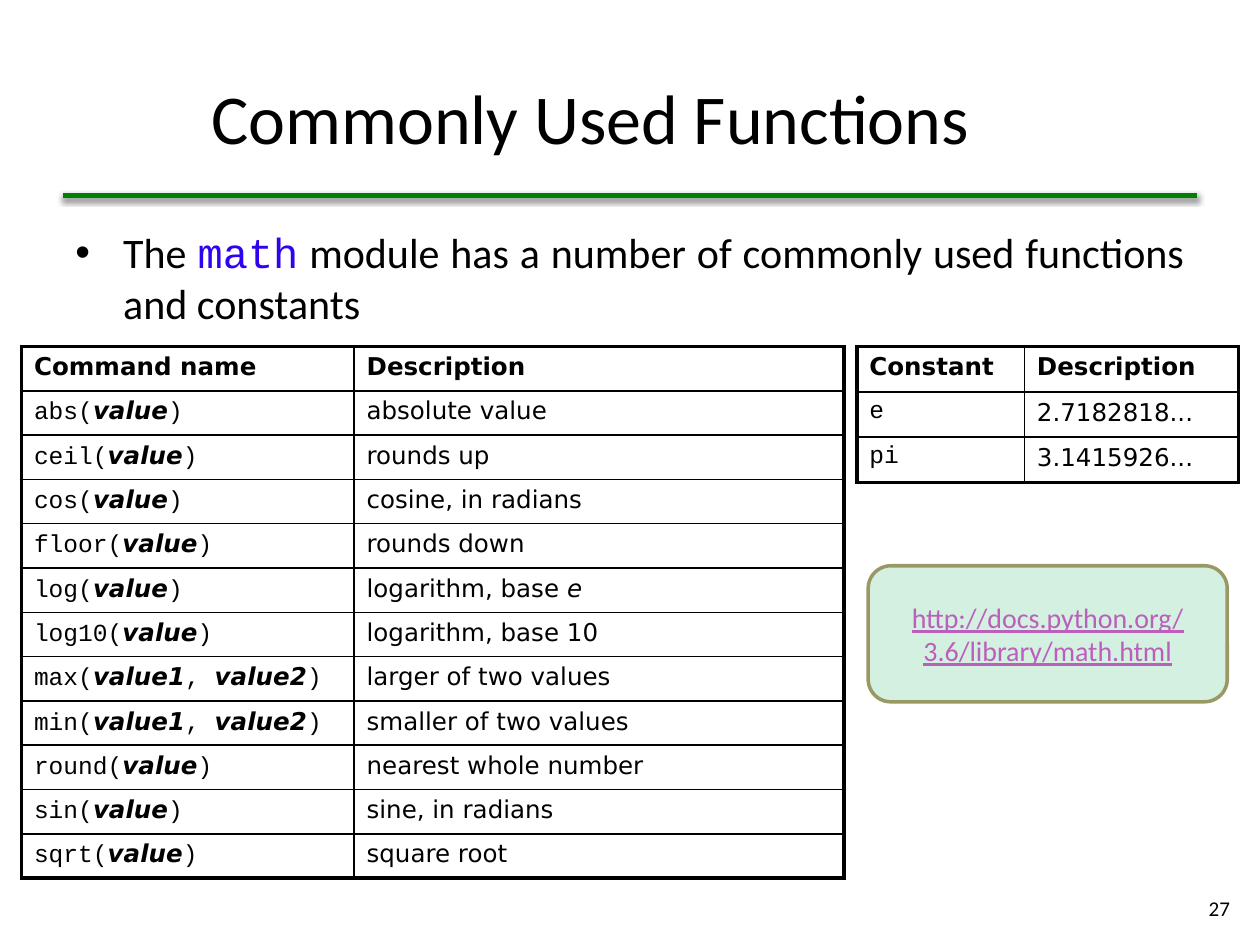
from dataclasses import dataclass

from lxml.etree import SubElement
from pptx import Presentation
from pptx.dml.color import RGBColor
from pptx.enum.shapes import MSO_CONNECTOR, MSO_SHAPE
from pptx.enum.text import MSO_ANCHOR, PP_ALIGN
from pptx.oxml import parse_xml
from pptx.oxml.ns import nsdecls, qn
from pptx.util import Inches, Pt


@dataclass(frozen=True)
class Theme:
    black: str = "000000"
    code: str = "2F02F0"
    rule: str = "008000"
    panel: str = "D4F0E1"
    panel_line: str = "999966"
    link: str = "BC5FBC"
    body_font: str = "Calibri"
    code_font: str = "Courier New"
    table_font: str = "DejaVu Sans"
    title_size: float = 40
    body_size: float = 24
    link_size: float = 16
    table_size: float = 14
    number_size: float = 12
    outer_border: float = 2.25
    inner_border: float = 1


@dataclass(frozen=True)
class Run:
    text: str
    font: str
    size: float
    color: str = Theme.black
    bold: bool = False
    italic: bool = False
    underline: bool = False


def table_run(text, font=Theme.table_font, **style):
    return Run(text, font, Theme.table_size, **style)


def code(text):
    return table_run(text, Theme.code_font)


def signature(name, *arguments):
    """Runs of a call: the code upright, its arguments bold italic."""
    runs = [code(f"{name}(")]
    for index, argument in enumerate(arguments):
        if index:
            runs.append(code(", "))
        runs.append(table_run(argument, bold=True, italic=True))
    return runs + [code(")")]


def header(*titles):
    return [[table_run(title, bold=True)] for title in titles]


class SlideBuilder:
    """Places elements on a grid of 100 columns by 75 rows."""

    columns, rows = 100, 75

    def __init__(self, presentation, theme):
        self.theme = theme
        self.column = presentation.slide_width / self.columns
        self.row = presentation.slide_height / self.rows
        self.slide = presentation.slides.add_slide(presentation.slide_layouts[6])
        self.shapes = self.slide.shapes

    def box(self, left, top, width, height):
        return (round(left * self.column), round(top * self.row),
                round(width * self.column), round(height * self.row))

    def add_runs(self, frame, runs, alignment=PP_ALIGN.LEFT, anchor=MSO_ANCHOR.TOP):
        frame.word_wrap = True
        frame.vertical_anchor = anchor
        paragraph = frame.paragraphs[0]
        paragraph.alignment = alignment
        for item in runs:
            run = paragraph.add_run()
            run.text = item.text
            font = run.font
            font.name, font.size = item.font, Pt(item.size)
            font.bold, font.italic, font.underline = item.bold, item.italic, item.underline
            font.color.rgb = RGBColor.from_string(item.color)
        return paragraph

    def text(self, place, runs, **layout):
        return self.add_runs(self.shapes.add_textbox(*self.box(*place)).text_frame, runs, **layout)

    def bullet(self, place, runs):
        paragraph = self.text(place, runs, alignment=PP_ALIGN.JUSTIFY)
        paragraph.space_after = Pt(6)
        properties = paragraph._p.get_or_add_pPr()
        properties.set("marL", str(Inches(0.38)))
        properties.set("indent", str(-Inches(0.38)))
        SubElement(properties, qn("a:buFont"), typeface="Arial")
        SubElement(properties, qn("a:buChar"), char="•")

    def rule(self, left, top, width):
        x, y, length, _ = self.box(left, top, width, 0)
        line = self.shapes.add_connector(MSO_CONNECTOR.STRAIGHT, x, y, x + length, y)
        line.line.color.rgb = RGBColor.from_string(self.theme.rule)
        line.line.width = Pt(3)
        line._element.spPr.append(parse_xml(
            f'<a:effectLst {nsdecls("a")}>'
            f'<a:outerShdw blurRad="{Pt(3.1)}" dist="{Pt(1.6)}" dir="5400000" rotWithShape="0">'
            f'<a:srgbClr val="{self.theme.black}"><a:alpha val="60000"/></a:srgbClr>'
            '</a:outerShdw></a:effectLst>'))

    def panel(self, place, runs):
        shape = self.shapes.add_shape(MSO_SHAPE.ROUNDED_RECTANGLE, *self.box(*place))
        shape.shadow.inherit = False
        shape.fill.solid()
        shape.fill.fore_color.rgb = RGBColor.from_string(self.theme.panel)
        shape.line.color.rgb = RGBColor.from_string(self.theme.panel_line)
        shape.line.width = Pt(2)
        self.add_runs(shape.text_frame, runs, PP_ALIGN.CENTER, MSO_ANCHOR.MIDDLE)

    def table(self, left, top, widths, height, content):
        last_row, last_column = len(content) - 1, len(widths) - 1
        table = self.shapes.add_table(
            len(content), len(widths), *self.box(left, top, sum(widths), height)).table
        table.first_row = table.horz_banding = False
        for column, width in zip(table.columns, widths):
            column.width = round(width * self.column)
        for row_index, row in enumerate(content):
            for column_index, runs in enumerate(row):
                cell = table.cell(row_index, column_index)
                self.add_runs(cell.text_frame, runs)
                cell.fill.background()
                self.borders(cell, {"L": column_index == 0, "R": column_index == last_column,
                                    "T": row_index == 0, "B": row_index == last_row})

    def borders(self, cell, outer_sides):
        properties = cell._tc.get_or_add_tcPr()
        for position, (side, outer) in enumerate(outer_sides.items()):
            width = self.theme.outer_border if outer else self.theme.inner_border
            properties.insert(position, parse_xml(
                f'<a:ln{side} {nsdecls("a")} w="{Pt(width)}"><a:solidFill>'
                f'<a:srgbClr val="{self.theme.black}"/></a:solidFill></a:ln{side}>'))


COMMANDS = [
    ("abs", ["value"], "absolute value"),
    ("ceil", ["value"], "rounds up"),
    ("cos", ["value"], "cosine, in radians"),
    ("floor", ["value"], "rounds down"),
    ("log", ["value"], "logarithm, base ", "e"),
    ("log10", ["value"], "logarithm, base 10"),
    ("max", ["value1", "value2"], "larger of two values"),
    ("min", ["value1", "value2"], "smaller of two values"),
    ("round", ["value"], "nearest whole number"),
    ("sin", ["value"], "sine, in radians"),
    ("sqrt", ["value"], "square root"),
]
CONSTANTS = [("e", "2.7182818..."), ("pi", "3.1415926...")]


def main():
    presentation = Presentation()
    presentation.slide_width, presentation.slide_height = Inches(10), Inches(7.5)
    theme = Theme()
    builder = SlideBuilder(presentation, theme)

    builder.text((94.6, 70.1, 4, 4), [Run("27", theme.body_font, theme.number_size)],
                 alignment=PP_ALIGN.RIGHT, anchor=MSO_ANCHOR.MIDDLE)
    builder.text((15.8, 3, 82.7, 12.5),
                 [Run("Commonly Used Functions", theme.body_font, theme.title_size)],
                 anchor=MSO_ANCHOR.MIDDLE)
    builder.rule(5, 15.5, 90)
    builder.bullet((5, 17.5, 90, 9.5), [
        Run("The ", theme.body_font, theme.body_size),
        Run("math", theme.code_font, theme.body_size, theme.code),
        Run(" module has a number of commonly used functions and constants",
            theme.body_font, theme.body_size)])

    commands = [header("Command name", "Description")]
    for name, arguments, description, *symbols in COMMANDS:
        commands.append([signature(name, *arguments), [
            table_run(description), *(table_run(symbol, italic=True) for symbol in symbols)]])
    constants = [header("Constant", "Description")]
    constants += [[[code(name)], [table_run(value)]] for name, value in CONSTANTS]
    builder.table(1.7, 27.5, (26.4, 38.9), 42.2, commands)
    builder.table(68, 27.5, (13.3, 17), 10.8, constants)

    builder.panel((68.9, 44.9, 28.5, 10.8), [
        Run("http://docs.python.org/3.6/library/math.html", theme.body_font,
            theme.link_size, theme.link, underline=True)])
    presentation.save("out.pptx")


if __name__ == "__main__":
    main()
